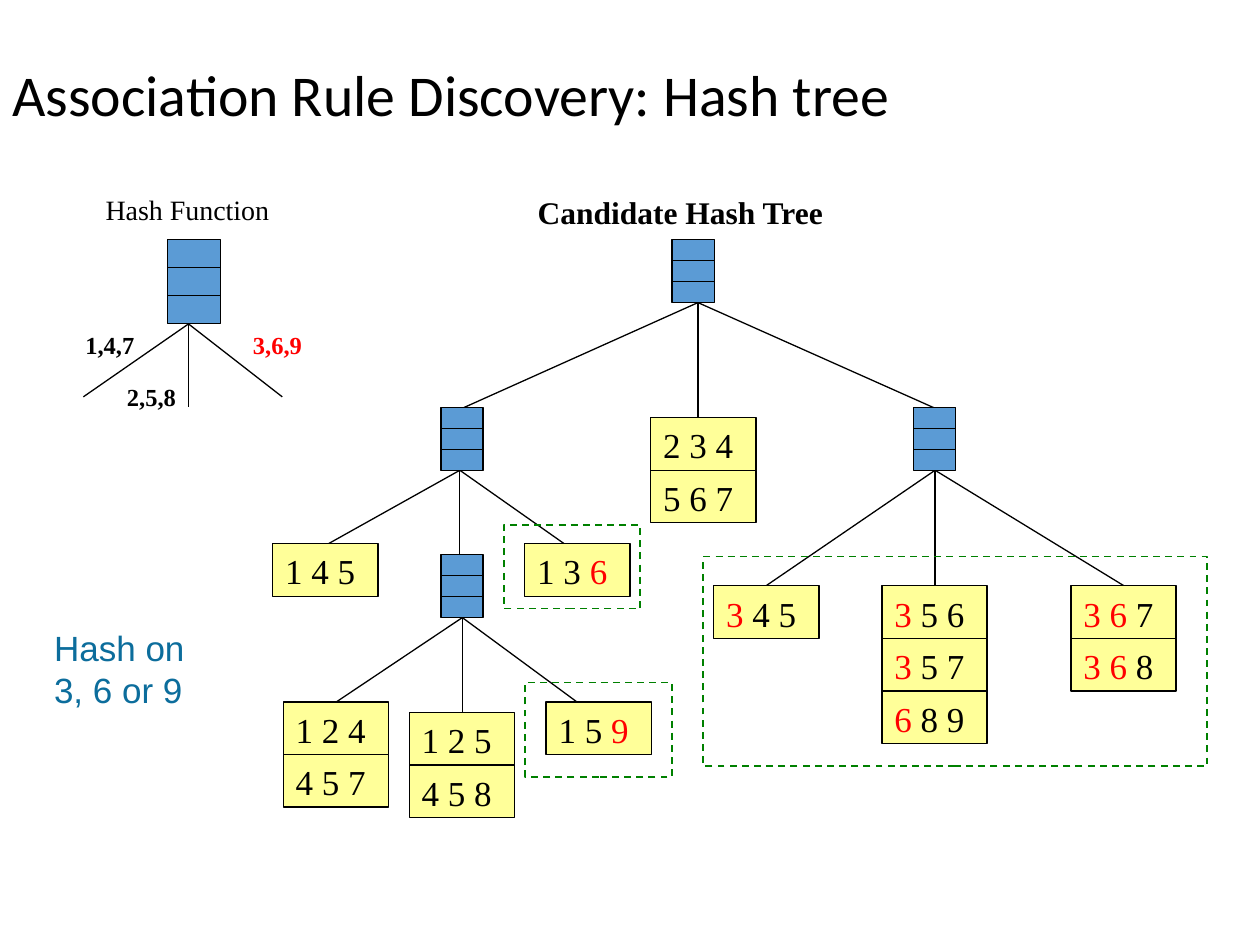
"""Build the hash tree slide for association rule discovery."""
from lxml import etree
from pptx import Presentation
from pptx.dml.color import RGBColor
from pptx.enum import dml, shapes, text
from pptx.oxml.ns import qn
from pptx.util import Cm, Pt

BLACK, RED, BLUE, YELLOW, GREEN, TEAL = (
    "000000", "FF0000", "5B9BD5", "FFFF99", "008000", "0C6D9C")
SERIF = "Times New Roman"
LEAF_W, LEAF_H = 2.12, 1.06

TITLE = ("Association Rule Discovery: Hash tree", 0, 0.76, 25.4, 2.41)
# left, top, width, height of each hash node
NODES = [
    (8.89, 8.21, 0.85, 1.27),
    (18.42, 8.21, 0.85, 1.27),
    (8.89, 11.18, 0.85, 1.27),
    (13.55, 4.83, 0.85, 1.27),
    (3.38, 4.83, 1.06, 1.7),
]
BRANCHES = [
    ((14.07, 6.1), [(9.32, 8.23), (14.07, 8.43), (18.85, 8.23)]),
    ((9.27, 9.48), [(6.55, 11), (9.27, 11.18), (11.43, 11)]),
    ((18.85, 9.48), [(15.44, 11.81), (18.85, 11.81), (22.66, 11.81)]),
    ((9.32, 12.45), [(6.78, 14.15), (9.32, 14.35), (11.63, 14.15)]),
    ((3.8, 6.53), [(1.68, 8), (3.8, 8.2), (5.69, 8)]),
]
# text between bars is red
LEAVES = [
    (11.01, 14.15, ["1 5 |9|"]),
    (5.5, 10.96, ["1 4 5"]),
    (10.58, 10.96, ["1 3 |6|"]),
    (14.39, 11.81, ["|3| 4 5"]),
    (21.59, 11.81, ["|3 6| 7", "|3 6| 8"]),
    (17.78, 11.81, ["|3| 5 6", "|3| 5 7", "|6| 8 9"]),
    (13.12, 8.42, ["2 3 4", "5 6 7"]),
    (5.71, 14.15, ["1 2 4", "4 5 7"]),
    (8.25, 14.36, ["1 2 5", "4 5 8"]),
]
LABELS = [
    ("1,4,7", 1.47, 6.53, 1.5, 0.84, 14, True, BLACK),
    ("2,5,8", 2.31, 7.57, 1.5, 0.84, 14, True, BLACK),
    ("3,6,9", 4.85, 6.53, 1.5, 0.84, 14, True, RED),
    ("Hash Function", 1.88, 3.76, 3.84, 0.94, 16, False, BLACK),
    ("Candidate Hash Tree", 10.59, 3.76, 6.32, 1.02, 18, True, BLACK),
]
NOTE = ("Hash on 3, 6 or 9", 0.84, 12.5, 3.18, 1.96)
HIGHLIGHTS = [
    (10.59, 13.76, 2.96, 1.9),
    (14.18, 11.22, 10.16, 4.23),
    (10.16, 10.58, 2.75, 1.69),
]


def rgb(color):
    return RGBColor.from_string(color)


def add_rect(box, fill=None, line=BLACK, width=0.75):
    sp = s.shapes.add_shape(shapes.MSO_SHAPE.RECTANGLE, *map(Cm, box))
    sp.shadow.inherit = False
    if fill:
        sp.fill.solid()
        sp.fill.fore_color.rgb = rgb(fill)
    else:
        sp.fill.background()
    sp.line.color.rgb = rgb(line)
    sp.line.width = Pt(width)
    return sp


def add_line(start, end):
    line = s.shapes.add_connector(
        shapes.MSO_CONNECTOR.STRAIGHT, *map(Cm, (*start, *end)))
    line.line.color.rgb = rgb(BLACK)
    line.line.width = Pt(0.75)
    etree.SubElement(line._element.spPr, qn("a:effectLst"))


def style(p, font, size, color=None, bold=False):
    p.font.name, p.font.size, p.font.bold = font, Pt(size), bold
    if color:
        p.font.color.rgb = rgb(color)


def add_text(words, box, font, size, color=BLACK, bold=False, wrap=True):
    tf = s.shapes.add_textbox(*map(Cm, box)).text_frame
    tf.word_wrap = wrap
    p = tf.paragraphs[0]
    p.text = words
    style(p, font, size, color, bold)
    return tf


def add_node(left, top, width, height):
    add_rect((left, top, width, height), BLUE)
    for i in (1, 2):
        y = top + i * height / 3
        add_line((left, y), (left + width, y))


def add_leaf(left, top, itemset):
    tf = add_rect((left, top, LEAF_W, LEAF_H), YELLOW).text_frame
    tf.word_wrap = False
    tf.vertical_anchor = text.MSO_ANCHOR.TOP
    p = tf.paragraphs[0]
    p.alignment = text.PP_ALIGN.LEFT
    style(p, SERIF, 20)
    for i, part in enumerate(itemset.split("|")):
        if part:
            r = p.add_run()
            r.text = part
            r.font.color.rgb = rgb(RED if i % 2 else BLACK)


prs = Presentation()
prs.slide_width, prs.slide_height = Cm(25.4), Cm(19.05)
s = prs.slides.add_slide(prs.slide_layouts[6])

title = add_text(TITLE[0], TITLE[1:], "Calibri", 33)
title.vertical_anchor = text.MSO_ANCHOR.MIDDLE
title.paragraphs[0].line_spacing = 0.9

for start, ends in BRANCHES:
    for end in ends:
        add_line(start, end)
for node in NODES:
    add_node(*node)
for left, top, itemsets in LEAVES:
    for i, itemset in enumerate(itemsets):
        add_leaf(left, top + i * LEAF_H, itemset)
for words, *box, size, bold, color in LABELS:
    add_text(words, box, SERIF, size, color, bold, wrap=False)
add_text(NOTE[0], NOTE[1:], "Arial", 20, TEAL)
for box in HIGHLIGHTS:
    add_rect(box, line=GREEN, width=1).line.dash_style = dml.MSO_LINE.DASH

prs.save("out.pptx")
